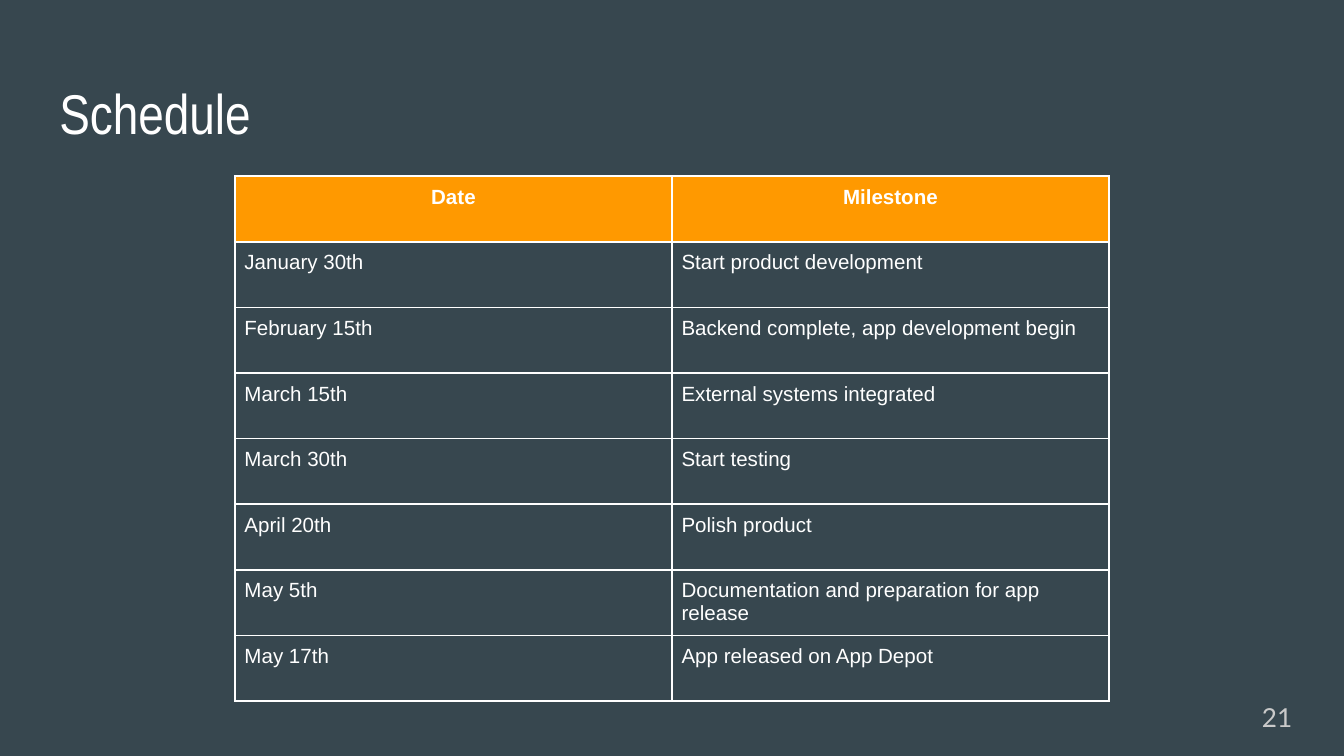
from pptx import Presentation
from pptx.dml.color import RGBColor
from pptx.enum.text import MSO_ANCHOR as ANCHOR, MSO_AUTO_SIZE as AUTO, PP_ALIGN as ALIGN
from pptx.oxml import parse_xml
from pptx.oxml.ns import nsdecls
from pptx.util import Cm, Pt

WHITE, ORANGE, SLATE, GREY = "FFFFFF", "FF9900", "37474F", "CACACA"

MILESTONES = [
    ("Date", "Milestone"),
    ("January 30th", "Start product development"),
    ("February 15th", "Backend complete, app development begin"),
    ("March 15th", "External systems integrated"),
    ("March 30th", "Start testing"),
    ("April 20th", "Polish product"),
    ("May 5th", "Documentation and preparation for app release"),
    ("May 17th", "App released on App Depot"),
]


def rgb(value):
    return RGBColor.from_string(value)


def apply(obj, **values):
    for name, value in values.items():
        setattr(obj, name, value)


class Deck:
    """Holds the presentation style and the current slide."""

    def __init__(self, width, height):
        self.prs = Presentation()
        apply(self.prs, slide_width=Cm(width), slide_height=Cm(height))

    def slide(self, color):
        self.s = self.prs.slides.add_slide(self.prs.slide_layouts[5])
        fill = self.s.background.fill
        fill.solid()
        fill.fore_color.rgb = rgb(color)

    def add_text(self, p, text, font, size, color, bold=False, align=ALIGN.LEFT):
        p.alignment = align
        r = p.add_run()
        r.text = text
        apply(r.font, name=font, size=Pt(size), bold=bold)
        r.font.color.rgb = rgb(color)

    def frame(self, sp, anchor):
        tf = sp.text_frame
        inset = Cm(0.25)
        apply(tf, word_wrap=True, auto_size=AUTO.NONE, vertical_anchor=anchor,
              margin_left=inset, margin_right=inset,
              margin_top=inset, margin_bottom=inset)
        return tf.paragraphs[0]

    def title(self, text, left, top, width, height):
        sp = self.s.shapes.title
        apply(sp, left=Cm(left), top=Cm(top), width=Cm(width), height=Cm(height))
        self.add_text(self.frame(sp, ANCHOR.TOP), text, "Arial Narrow", 30, WHITE)

    def page_number(self, text, left, top, width, height):
        sp = self.s.shapes.add_textbox(Cm(left), Cm(top), Cm(width), Cm(height))
        self.add_text(self.frame(sp, ANCHOR.MIDDLE), text, "Lato", 14, GREY)

    def borders(self, cell):
        tcPr = cell._tc.get_or_add_tcPr()
        for side in "LRTB":
            tcPr.append(parse_xml(
                f'<a:ln{side} {nsdecls("a")} w="{Pt(1)}"><a:solidFill>'
                f'<a:srgbClr val="{WHITE}"/></a:solidFill></a:ln{side}>'))

    def table(self, rows, left, top, col_width, row_height):
        n, m = len(rows), len(rows[0])
        table = self.s.shapes.add_table(
            n, m, Cm(left), Cm(top), Cm(col_width * m), Cm(row_height * n)).table
        inset = Cm(0.18)
        for i, row in enumerate(rows):
            header = i == 0
            for j, text in enumerate(row):
                cell = table.cell(i, j)
                apply(cell, margin_left=inset, margin_right=inset,
                      margin_top=inset, margin_bottom=inset)
                self.borders(cell)
                if header:
                    cell.fill.solid()
                    cell.fill.fore_color.rgb = rgb(ORANGE)
                else:
                    cell.fill.background()
                self.add_text(cell.text_frame.paragraphs[0], text, "Arial", 11, WHITE,
                              header, ALIGN.CENTER if header else ALIGN.LEFT)


def main():
    deck = Deck(25.4, 14.29)
    deck.slide(SLATE)
    deck.title("Schedule", 0.87, 1.24, 23.67, 1.6)
    deck.page_number("21", 23.6, 13, 1.52, 1.1)
    deck.table(MILESTONES, 4.44, 3.33, 8.26, 1.24)
    deck.prs.save("out.pptx")


if __name__ == "__main__":
    main()
